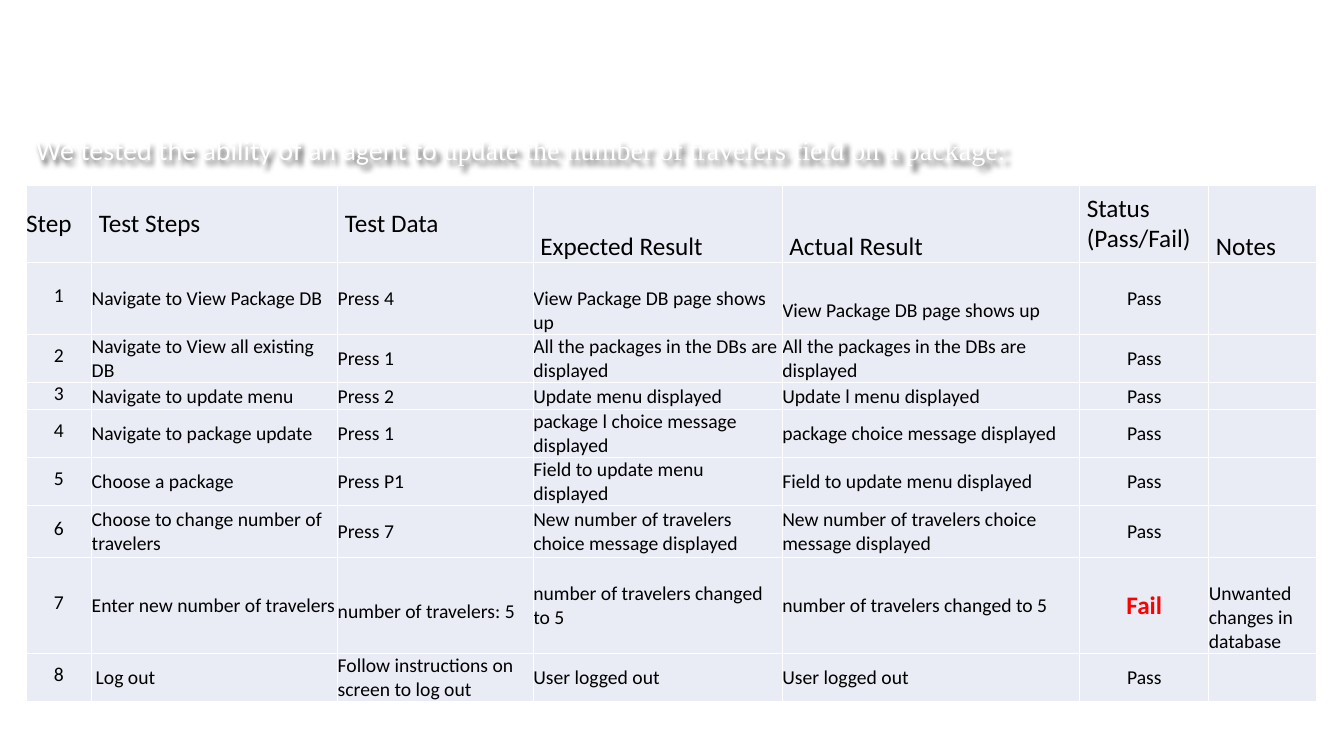
from lxml import etree
from pptx import Presentation
from pptx.dml.color import RGBColor
from pptx.enum.text import MSO_ANCHOR, MSO_AUTO_SIZE, PP_ALIGN
from pptx.oxml import parse_xml
from pptx.oxml.ns import nsdecls, qn
from pptx.util import Inches, Pt

LEFT, CENTER, JUSTIFY = PP_ALIGN.LEFT, PP_ALIGN.CENTER, PP_ALIGN.JUSTIFY
MIDDLE = MSO_ANCHOR.MIDDLE
COLORS = {"text": "000000", "cell": "E9EBF5", "white": "FFFFFF", "fail": "FF0000"}

COLUMN_WIDTHS = [0.65, 2.44, 1.94, 2.47, 2.95, 1.28, 1.07]
ROW_HEIGHTS = [0.76, 0.71, 0.48, 0.27, 0.47, 0.47, 0.52, 0.95, 0.46]
HEADERS = ["Step", "Test Steps", "Test Data", "Expected Result", "Actual Result",
           "Status (Pass/Fail)", "Notes"]
TALL_HEADERS = ["Expected Result", "Actual Result", "Notes"]
PACKAGES = "All the packages in the DBs are displayed"
TRAVELERS = "New number of travelers choice message displayed"
STEPS = [
    ["Navigate to View Package DB", "Press 4", "View Package DB page shows up",
     "View Package DB page shows up", "Pass", ""],
    ["Navigate to View all existing DB", "Press 1", PACKAGES, PACKAGES, "Pass", ""],
    ["Navigate to update menu", "Press 2", "Update menu displayed",
     "Update l menu displayed", "Pass", ""],
    ["Navigate to package update", "Press 1", "package l choice message displayed",
     "package choice message displayed", "Pass", ""],
    ["Choose a package", "Press P1", "Field to update menu displayed",
     "Field to update menu displayed", "Pass", ""],
    ["Choose to change number of travelers", "Press 7", TRAVELERS, TRAVELERS, "Pass", ""],
    ["Enter new number of travelers", "number of travelers: 5",
     "number of travelers changed to 5", "number of travelers changed to 5",
     "Fail", "Unwanted changes in database"],
    ["Log out", "Follow instructions on screen to log out", "User logged out",
     "User logged out", "Pass", ""],
]
# Cells whose text sits one line lower, as (row, column)
LOWERED_CELLS = [(1, 3), (1, 4), (7, 6)]


def set_font(font, size, color, name="Calibri", bold=False):
    font.size, font.name, font.bold = Pt(size), name, bold
    font.color.rgb = RGBColor.from_string(COLORS[color])


def style_cell(cell):
    cell.margin_left = cell.margin_right = cell.margin_top = cell.margin_bottom = 0
    cell.vertical_anchor = MIDDLE
    properties = cell._tc.get_or_add_tcPr()
    for side in ("lnL", "lnR", "lnT", "lnB"):
        line = etree.SubElement(properties, qn("a:" + side), w=str(Pt(1)))
        fill = etree.SubElement(line, qn("a:solidFill"))
        etree.SubElement(fill, qn("a:srgbClr"), val=COLORS["white"])
    cell.fill.solid()
    cell.fill.fore_color.rgb = RGBColor.from_string(COLORS["cell"])


presentation = Presentation()
presentation.slide_width, presentation.slide_height = Inches(13.33), Inches(7.5)
slide = presentation.slides.add_slide(presentation.slide_layouts[6])

# Test table
rows = [HEADERS] + [[str(number)] + step for number, step in enumerate(STEPS, 1)]
table = slide.shapes.add_table(len(rows), len(HEADERS), Inches(0.26), Inches(1.84),
                               Inches(sum(COLUMN_WIDTHS)), Inches(sum(ROW_HEIGHTS))).table
table.first_row = table.horz_banding = False
for column, width in zip(table.columns, COLUMN_WIDTHS):
    column.width = Inches(width)
for row, height in zip(table.rows, ROW_HEIGHTS):
    row.height = Inches(height)

for row_index, texts in enumerate(rows):
    for column_index, text in enumerate(texts):
        cell = table.cell(row_index, column_index)
        style_cell(cell)
        paragraph = cell.text_frame.paragraphs[0]
        if text:
            paragraph.text = text
        if row_index == 0:
            set_font(paragraph.font, 18, "text")
            paragraph.alignment = JUSTIFY
            if column_index > 0:
                cell.margin_left = Inches(0.07)
            if text in TALL_HEADERS:
                paragraph.line_spacing = 2.5
            continue
        if text == "Fail":
            set_font(paragraph.font, 18, "fail", bold=True)
        else:
            set_font(paragraph.font, 14, "text")
        paragraph.alignment = CENTER if column_index in (0, 5) else LEFT
        if column_index == 0:
            paragraph.line_spacing = Pt(13.2)
        if (row_index, column_index) in LOWERED_CELLS:
            cell.margin_top = Inches(0.24)
        if text == "number of travelers: 5":
            paragraph.line_spacing = 1.5
        if text == "Log out":
            cell.margin_left = Inches(0.04)

# Caption above the table, white with a soft shadow
caption = slide.shapes.add_textbox(Inches(0.26), Inches(1.27), Inches(10.37), Inches(0.44))
caption.text_frame.word_wrap = True
caption.text_frame.auto_size = MSO_AUTO_SIZE.SHAPE_TO_FIT_TEXT
paragraph = caption.text_frame.paragraphs[0]
for text, font_name in [
    ("We tested the ability of an agent to ", "Calibri"),
    ("update the number of travelers field on a package:", "Times New Roman"),
]:
    run = paragraph.add_run()
    run.text = text
    set_font(run.font, 20, "white", font_name)
caption._element.spPr.append(parse_xml(
    f'<a:effectLst {nsdecls("a")}><a:outerShdw blurRad="{Pt(4)}" dist="{Pt(3)}" '
    'dir="2700000" algn="tl" rotWithShape="0"><a:srgbClr val="000000">'
    '<a:alpha val="60000"/></a:srgbClr></a:outerShdw></a:effectLst>'))

presentation.save("out.pptx")
